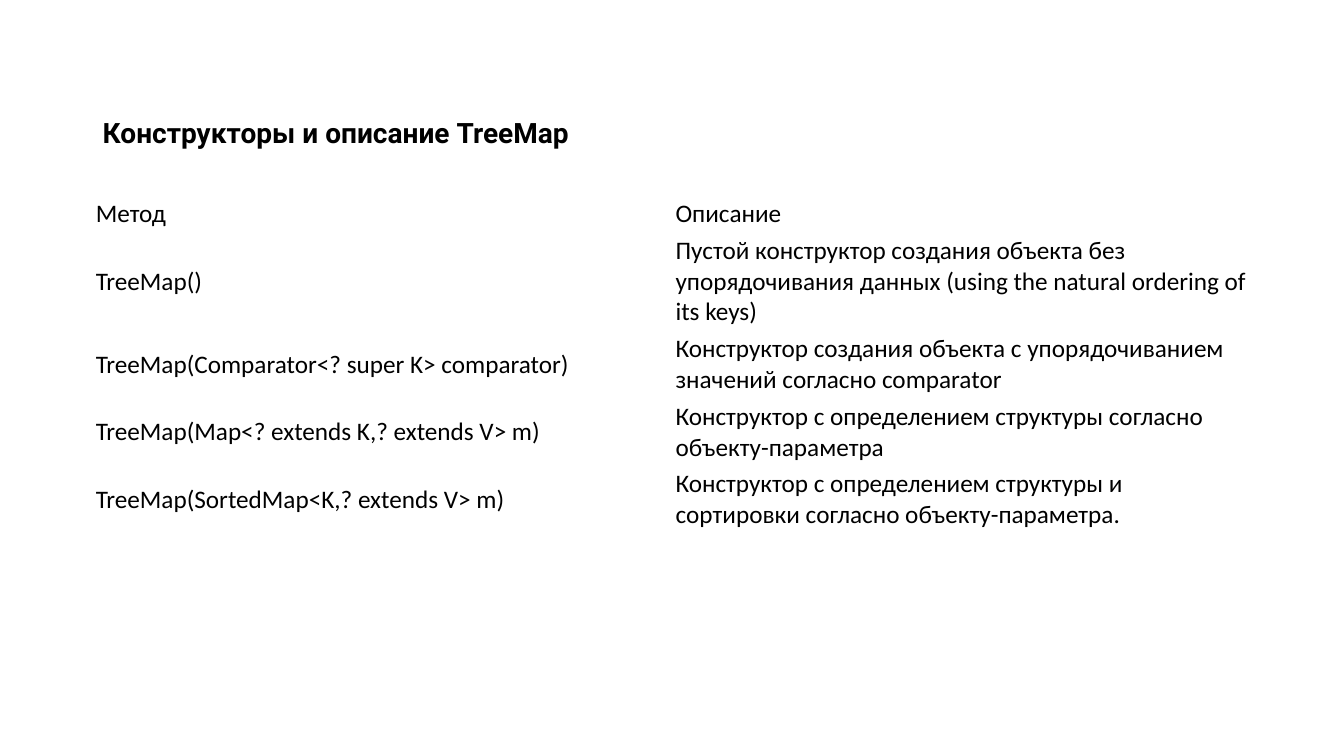
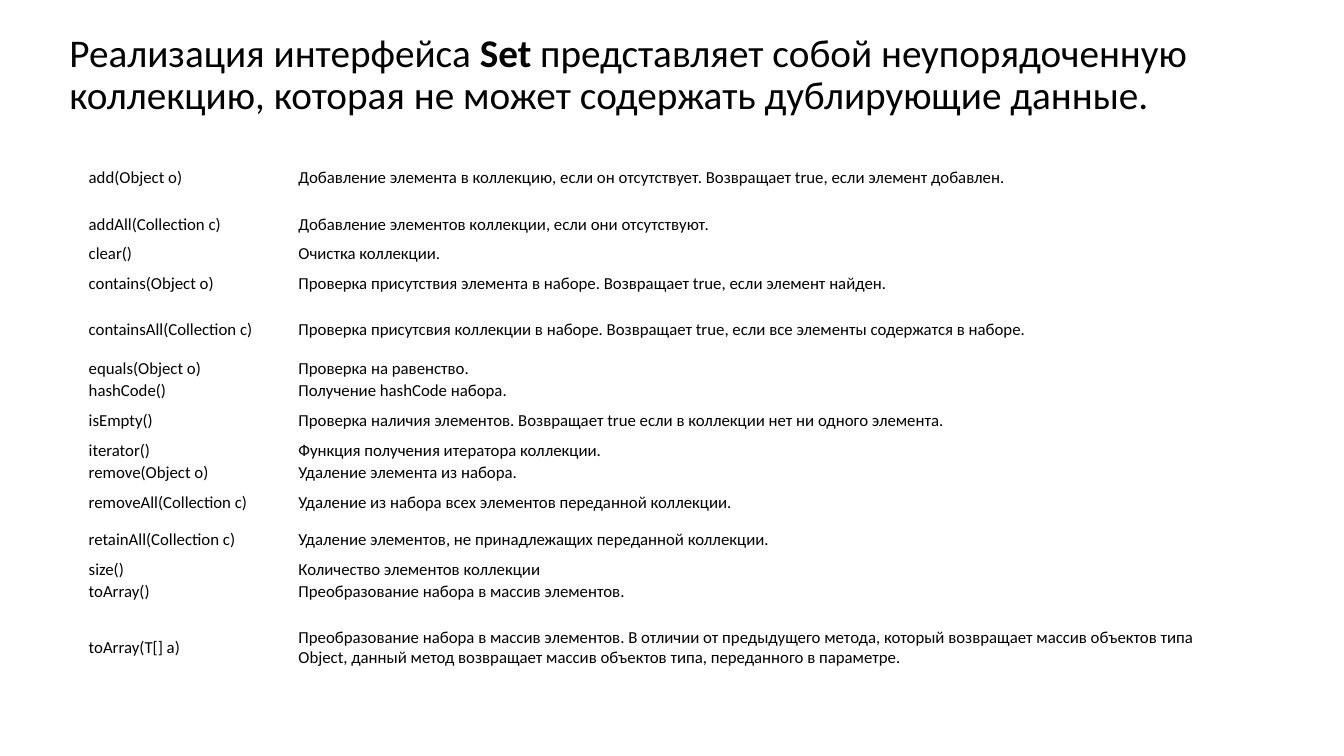
from dataclasses import dataclass

from pptx import Presentation
from pptx.dml.color import RGBColor
from pptx.enum.text import MSO_ANCHOR
from pptx.slide import Slide
from pptx.text.text import TextFrame
from pptx.util import Inches, Pt


@dataclass(frozen=True)
class Theme:
    ink: RGBColor = RGBColor(0, 0, 0)
    font: str = "Calibri"
    head: str = "Roboto"
    lead: float = 28
    title: float = 20
    body: float = 18
    small: float = 12


@dataclass(frozen=True)
class Box:
    left: float
    top: float
    width: float
    height: float


@dataclass(frozen=True)
class Row:
    name: str
    about: str
    height: float


@dataclass(frozen=True)
class Grid:
    left: float
    top: float
    cols: tuple[float, ...]
    inset: float
    size: float
    rows: tuple[Row, ...]


THEME = Theme()


# Text: parts between ** marks are bold
def write(frame: TextFrame, text: str, *, size: float, font: str = THEME.font,
          line: float | None = None, before: float | None = None) -> None:
    para = frame.paragraphs[0]
    if line is not None:
        para.line_spacing = line
    if before is not None:
        para.space_before = Pt(before)
    for index, part in enumerate(text.split("**")):
        if not part:
            continue
        run = para.add_run()
        run.text = part
        run.font.name = font
        run.font.size = Pt(size)
        run.font.bold = index % 2 == 1
        run.font.color.rgb = THEME.ink


def add_box(slide: Slide, box: Box) -> TextFrame:
    frame = slide.shapes.add_textbox(
        Inches(box.left), Inches(box.top), Inches(box.width), Inches(box.height)
    ).text_frame
    frame.word_wrap = True
    return frame


# Plain table: no fills, no header or banding
def add_grid(slide: Slide, grid: Grid) -> None:
    height = sum(row.height for row in grid.rows)
    table = slide.shapes.add_table(
        len(grid.rows), len(grid.cols), Inches(grid.left), Inches(grid.top),
        Inches(sum(grid.cols)), Inches(height)
    ).table
    table.first_row = False
    table.horz_banding = False
    for col, width in zip(table.columns, grid.cols):
        col.width = Inches(width)
    inset = Inches(grid.inset)
    for line, row in zip(table.rows, grid.rows):
        line.height = Inches(row.height)
        for cell, text in zip(line.cells, (row.name, row.about)):
            cell.fill.background()
            cell.vertical_anchor = MSO_ANCHOR.MIDDLE
            cell.margin_left = cell.margin_right = inset
            cell.margin_top = cell.margin_bottom = inset
            write(cell.text_frame, text, size=grid.size)


# Row heights
ONE, TWO, THREE = 0.36, 0.66, 0.96
LOW, MID, TALL, LAST = 0.2, 0.37, 0.55, 0.89

MAKERS = Grid(0.92, 1.94, (5.75, 5.75), 0.03, THEME.body, (
    Row("Метод", "Описание", ONE),
    Row("TreeMap()", "Пустой конструктор создания объекта без упорядочивания "
        "данных (using the natural ordering of its keys)", THREE),
    Row("TreeMap(Comparator<? super K> comparator)",
        "Конструктор создания объекта с упорядочиванием значений "
        "согласно comparator", TWO),
    Row("TreeMap(Map<? extends K,? extends V> m)",
        "Конструктор с определением структуры согласно "
        "объекту-параметра", TWO),
    Row("TreeMap(SortedMap<K,? extends V> m)",
        "Конструктор с определением структуры и сортировки согласно "
        "объекту-параметра.", TWO),
))

METHODS = Grid(0.87, 1.49, (2.08, 9.1), 0.01, THEME.small, (
    Row("add(Object o)", "Добавление элемента в коллекцию, если он отсутствует. "
        "Возвращает true, если элемент добавлен.", TALL),
    Row("addAll(Collection c)",
        "Добавление элементов коллекции, если они отсутствуют.", MID),
    Row("clear()", "Очистка коллекции.", LOW),
    Row("contains(Object o)", "Проверка присутствия элемента в наборе. "
        "Возвращает true, если элемент найден.", MID),
    Row("containsAll(Collection c)", "Проверка присутсвия коллекции в наборе. "
        "Возвращает true, если все элементы содержатся в наборе.", TALL),
    Row("equals(Object o)", "Проверка на равенство.", LOW),
    Row("hashCode()", "Получение hashCode набора.", LOW),
    Row("isEmpty()", "Проверка наличия элементов. Возвращает true если "
        "в коллекции нет ни одного элемента.", MID),
    Row("iterator()", "Функция получения итератора коллекции.", LOW),
    Row("remove(Object o)", "Удаление элемента из набора.", LOW),
    Row("removeAll(Collection c)",
        "Удаление из набора всех элементов переданной коллекции.", MID),
    Row("retainAll(Collection c)",
        "Удаление элементов, не принадлежащих переданной коллекции.", MID),
    Row("size()", "Количество элементов коллекции", LOW),
    Row("toArray()", "Преобразование набора в массив элементов.", LOW),
    Row("toArray(T[] a)", "Преобразование набора в массив элементов. В отличии "
        "от предыдущего метода, который возвращает массив объектов типа Object, "
        "данный метод возвращает массив объектов типа, переданного "
        "в параметре.", LAST),
))

deck = Presentation()
deck.slide_width = Inches(13.33)
deck.slide_height = Inches(7.5)
blank = deck.slide_layouts[6]

# TreeMap constructors
slide = deck.slides.add_slide(blank)
add_grid(slide, MAKERS)
write(add_box(slide, Box(0.92, 1.1, 8.61, 0.74)),
      "**Конструкторы и описание TreeMap**", size=THEME.title, font=THEME.head)

# Set methods
slide = deck.slides.add_slide(blank)
write(add_box(slide, Box(0.59, 0.28, 12.28, 6.88)),
      "Реализация интерфейса **Set** представляет собой неупорядоченную "
      "коллекцию, которая не может содержать дублирующие данные.",
      size=THEME.lead, line=0.9, before=10)
add_grid(slide, METHODS)

deck.save("out.pptx")
